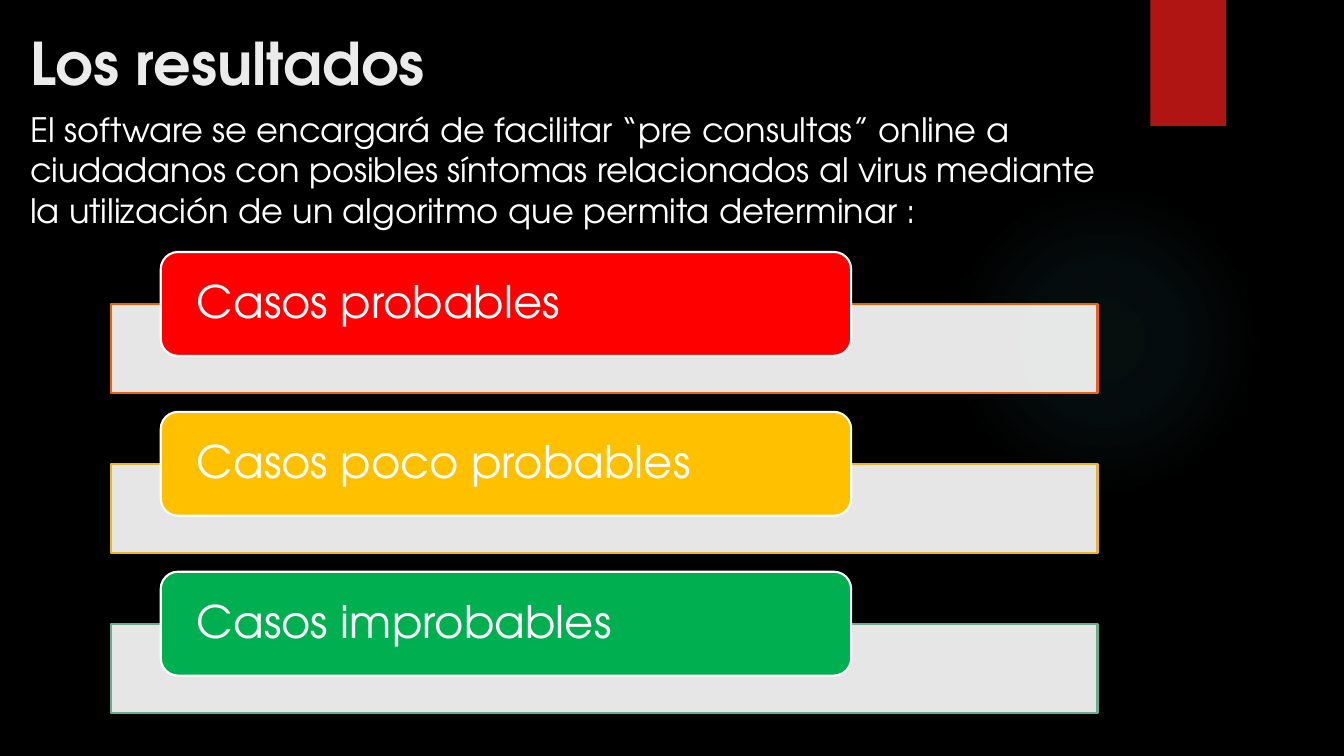
from lxml import etree
from pptx import Presentation
from pptx.dml.color import RGBColor
from pptx.enum.shapes import MSO_SHAPE as Shape
from pptx.enum.text import MSO_ANCHOR as Anchor
from pptx.oxml import parse_xml
from pptx.oxml.ns import nsdecls, qn
from pptx.util import Pt

FONT = "TeX Gyre Adventor"
BLACK = RGBColor(0x00, 0x00, 0x00)
WHITE = RGBColor(0xFF, 0xFF, 0xFF)
TITLE_GREY = RGBColor(0xEB, 0xEB, 0xEB)
TAB_RED = RGBColor(0xB0, 0x15, 0x13)
RED = RGBColor(0xFF, 0x00, 0x00)
AMBER = RGBColor(0xFF, 0xC0, 0x00)
GREEN = RGBColor(0x00, 0xB0, 0x50)
ORANGE_EDGE = RGBColor(0xEA, 0x63, 0x12)
YELLOW_EDGE = RGBColor(0xE6, 0xB7, 0x29)
GREEN_EDGE = RGBColor(0x6A, 0xAC, 0x90)

deck = Presentation()
deck.slide_width, deck.slide_height = Pt(960), Pt(540)
page = deck.slides.add_slide(deck.slide_layouts[6])
page.background.fill.solid()
page.background.fill.fore_color.rgb = BLACK


def add_block(kind, left, top, width, height, fill, edge=None):
    block = page.shapes.add_shape(kind, Pt(left), Pt(top), Pt(width), Pt(height))
    block.shadow.inherit = False
    block.fill.solid()
    block.fill.fore_color.rgb = fill
    if edge is None:
        block.line.fill.background()
    else:
        block.line.color.rgb = edge
        block.line.width = Pt(1.5)
    return block


def write(frame, text, size, color, bold=False):
    frame.word_wrap = True
    para = frame.paragraphs[0]
    para.text = text
    span = para.runs[0]
    span.font.name = FONT
    span.font.size = Pt(size)
    span.font.color.rgb = color
    span.font.bold = bold
    return para


# Background glow: a radial gradient that fades out
glow = add_block(Shape.OVAL, 677.5, 131.8, 221.8, 221.8, BLACK)
stops = "".join(
    f'<a:gs pos="{position * 1000}"><a:srgbClr val="50B9C1">'
    f'<a:alpha val="{alpha * 1000}"/></a:srgbClr></a:gs>'
    for position, alpha in ((0, 7), (36, 6), (69, 0), (100, 0))
)
gradient = parse_xml(
    f'<a:gradFill {nsdecls("a")} rotWithShape="1"><a:gsLst>{stops}</a:gsLst>'
    '<a:path path="circle"><a:fillToRect l="50000" t="50000" r="50000" b="50000"/>'
    "</a:path></a:gradFill>"
)
glow_properties = glow.element.spPr
glow_properties.replace(glow_properties.find(qn("a:solidFill")), gradient)

add_block(Shape.RECTANGLE, 821.8, 0, 54, 90, TAB_RED)

title = page.shapes.add_textbox(Pt(14.4), Pt(15.8), Pt(740.9), Pt(58.3))
write(title.text_frame, "Los resultados", 42, TITLE_GREY, bold=True)

cases = [
    ("Casos probables", RED, ORANGE_EDGE),
    ("Casos poco probables", AMBER, YELLOW_EDGE),
    ("Casos improbables", GREEN, GREEN_EDGE),
]
for row, (label, color, edge) in enumerate(cases):
    top = 180 + row * 114.2
    bar = add_block(Shape.RECTANGLE, 79.6, top + 37.2, 704.4, 63.4, WHITE, edge)
    bar_color = bar.element.spPr.find(qn("a:solidFill"))[0]
    etree.SubElement(bar_color, qn("a:alpha"), val="90000")

    card = add_block(Shape.ROUNDED_RECTANGLE, 114.8, top, 493.2, 74.2, color, WHITE)
    frame = card.text_frame
    frame.vertical_anchor = Anchor.MIDDLE
    frame.margin_left = frame.margin_right = Pt(22.3)
    frame.margin_top = frame.margin_bottom = 0
    para = write(frame, label, 32, WHITE)
    para.alignment = 1
    para.line_spacing = 0.9

intro = page.shapes.add_textbox(Pt(14.4), Pt(74.2), Pt(784.8), Pt(116.6))
write(
    intro.text_frame,
    "El software se encargará de facilitar “pre consultas” online a ciudadanos con "
    "posibles síntomas relacionados al virus mediante la utilización de un algoritmo "
    "que permita determinar :",
    24,
    WHITE,
)

deck.save("out.pptx")
